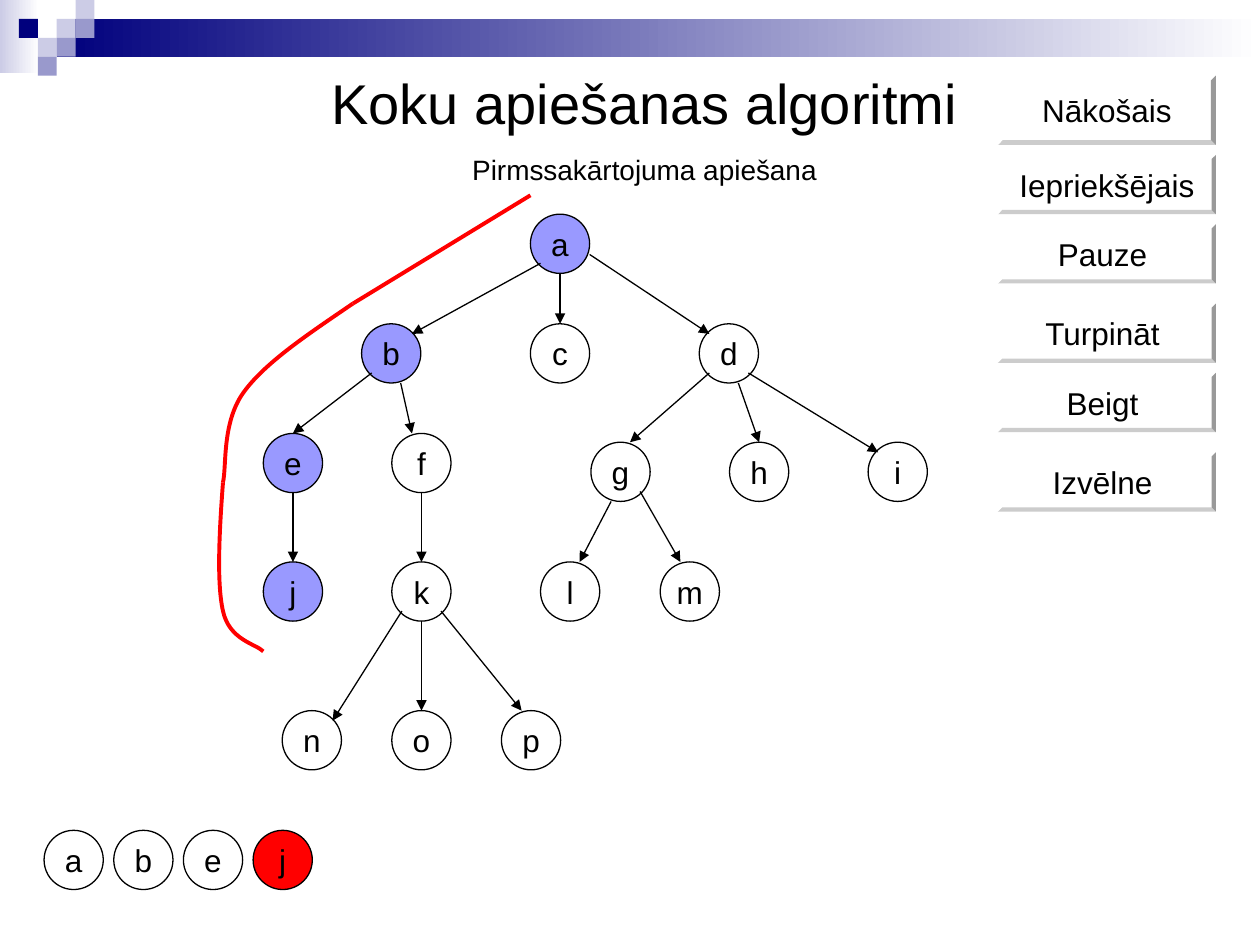
from dataclasses import dataclass

from lxml.etree import SubElement
from pptx import Presentation
from pptx.dml.color import RGBColor
from pptx.enum.shapes import MSO_CONNECTOR, MSO_SHAPE
from pptx.enum.text import MSO_ANCHOR, MSO_AUTO_SIZE, PP_ALIGN
from pptx.oxml.ns import qn
from pptx.util import Inches, Pt


@dataclass(frozen=True)
class Theme:
    font: str = "Arial"
    black: RGBColor = RGBColor(0, 0, 0)
    white: RGBColor = RGBColor(255, 255, 255)
    visited: RGBColor = RGBColor(0x99, 0x99, 0xFF)
    current: RGBColor = RGBColor(255, 0, 0)
    navy: RGBColor = RGBColor(0, 0, 0x7D)
    mid: RGBColor = RGBColor(0x99, 0x99, 0xCC)
    pale: RGBColor = RGBColor(0xCC, 0xCC, 0xE6)
    title: Pt = Pt(32)
    subtitle: Pt = Pt(16)
    label: Pt = Pt(18)
    thin: Pt = Pt(0.75)
    thick: Pt = Pt(2.25)


THEME = Theme()
NODE = 0.47
NODES = {
    "a": (2.49, 0), "b": (1.15, 0.87), "c": (2.49, 0.87), "d": (3.83, 0.87),
    "e": (0.37, 1.74), "f": (1.39, 1.74),
    "g": (2.97, 1.81), "h": (4.07, 1.81), "i": (5.17, 1.81),
    "j": (0.37, 2.76), "k": (1.39, 2.76), "l": (2.57, 2.76), "m": (3.52, 2.76),
    "n": (0.52, 3.94), "o": (1.39, 3.94), "p": (2.26, 3.94),
}
VISITED = "abej"
# Where an arrow touches a node, measured from the node's top left corner
ANCHORS = {
    "top": (0.235, 0), "top left": (0.16, 0), "top right": (0.31, 0),
    "bottom": (0.235, NODE), "bottom left": (0.16, NODE), "bottom right": (0.31, NODE),
    "upper left": (0.08, 0.08), "upper right": (0.4, 0.08),
    "lower left": (0.08, 0.39), "lower right": (0.39, 0.39), "right": (NODE, 0.32),
}
EDGES = [
    ("a", "lower left", "b", "upper right"), ("a", "bottom", "c", "top"),
    ("a", "right", "d", "upper left"), ("b", "lower left", "e", "top"),
    ("b", "bottom right", "f", "top left"), ("d", "lower left", "g", "top right"),
    ("d", "bottom right", "h", "top"), ("d", "lower right", "i", "upper left"),
    ("e", "bottom", "j", "top"), ("f", "bottom", "k", "top"),
    ("g", "bottom left", "l", "top right"), ("g", "lower right", "m", "top left"),
    ("k", "lower left", "n", "upper right"), ("k", "bottom", "o", "top"),
    ("k", "lower right", "p", "top left"),
]
BUTTONS = [("Nākošais", 0, 0.55), ("Iepriekšējais", 0.63, NODE), ("Pauze ", 1.18, NODE),
           ("Turpināt ", 1.81, NODE), ("Beigt ", 2.36, NODE), ("Izvēlne ", 2.99, NODE)]


def write(para, text, size):
    span = para.add_run()
    span.text = text
    para.alignment = PP_ALIGN.CENTER
    for name, value in {"name": THEME.font, "size": size, "bold": False}.items():
        setattr(span.font, name, value)
    span.font.color.rgb = THEME.black


def add_box(page, kind, left, top, width, height, fill=None, line=None, text=None):
    box = page.shapes.add_shape(kind, Inches(left), Inches(top), Inches(width), Inches(height))
    box.shadow.inherit = False
    if fill is not None:
        box.fill.solid()
        box.fill.fore_color.rgb = fill
    if line is None:
        box.line.fill.background()
    else:
        box.line.color.rgb = line
        box.line.width = THEME.thin
    if text:
        box.text_frame.word_wrap = False
        box.text_frame.vertical_anchor = MSO_ANCHOR.MIDDLE
        write(box.text_frame.paragraphs[0], text, THEME.label)
    return box


def add_node(page, left, top, text, fill):
    add_box(page, MSO_SHAPE.OVAL, left, top, NODE, NODE, fill, THEME.black, text)


def add_line(page, start, end, color, width, arrow=False):
    line = page.shapes.add_connector(MSO_CONNECTOR.STRAIGHT, *map(Inches, (*start, *end)))
    line.line.color.rgb = color
    line.line.width = width
    if arrow:
        SubElement(line.line._get_or_add_ln(), qn("a:tailEnd"), type="triangle")
    SubElement(line._element.spPr, qn("a:effectLst"))


def add_curve(page, start, points):
    """Draw cubic segments; points holds two controls and an end for each."""
    builder = page.shapes.build_freeform(Inches(start[0]), Inches(start[1]))
    builder.add_line_segments([(Inches(x), Inches(y)) for x, y in points], close=False)
    curve = builder.convert_to_shape()
    curve.shadow.inherit = False
    curve.fill.background()
    curve.line.color.rgb = THEME.current
    curve.line.width = THEME.thick
    outline = curve._element.find(".//" + qn("a:path"))
    steps = outline.findall(qn("a:lnTo"))
    for first in range(0, len(steps), 3):
        cubic = SubElement(outline, qn("a:cubicBezTo"))
        for step in steps[first:first + 3]:
            cubic.append(step[0])
            outline.remove(step)


def add_header(page, left, top):
    cell = 0.15
    for x, y, width, height, color in [(0, 0, 0.31, 0.58, THEME.pale),
                                       (0.45, cell, 9.55, 0.3, THEME.navy)]:
        band = add_box(page, MSO_SHAPE.RECTANGLE, left + x, top + y, width, height)
        band.fill.gradient()
        band.fill.gradient_angle = 0
        for stop, shade, position in zip(band.fill.gradient_stops, (color, THEME.white), (0, 1)):
            stop.color.rgb = shade
            stop.position = position
    for column, row, color in [(3, 1, THEME.pale), (4, 0, THEME.pale), (4, 1, THEME.mid),
                               (2, 2, THEME.pale), (1, 1, THEME.navy), (3, 2, THEME.mid),
                               (2, 3, THEME.mid)]:
        add_box(page, MSO_SHAPE.RECTANGLE, left + column * cell, top + row * cell,
                cell, cell, color)


def add_title(page, left, top, width, height):
    title = page.shapes.title
    place = {"left": left, "top": top, "width": width, "height": height}
    for name, value in place.items():
        setattr(title, name, Inches(value))
    frame = title.text_frame
    layout = {"auto_size": MSO_AUTO_SIZE.NONE, "word_wrap": True,
              "vertical_anchor": MSO_ANCHOR.TOP}
    for name, value in layout.items():
        setattr(frame, name, value)
    write(frame.paragraphs[0], "Koku apiešanas algoritmi", THEME.title)
    subtitle = frame.add_paragraph()
    subtitle.space_before = Pt(10)
    write(subtitle, "Pirmssakārtojuma apiešana", THEME.subtitle)


def add_buttons(page, left, top, width):
    for text, offset, height in BUTTONS:
        button = add_box(page, MSO_SHAPE.BEVEL, left, top + offset, width, height,
                         THEME.white, text=text)
        button.adjustments[0] = 0.07


def add_tree(page, left, top):
    for name, (x, y) in NODES.items():
        add_node(page, left + x, top + y, name,
                 THEME.visited if name in VISITED else THEME.white)

    def touch(name, anchor):
        (x, y), (dx, dy) = NODES[name], ANCHORS[anchor]
        return left + x + dx, top + y + dy

    for parent, leave, child, arrive in EDGES:
        add_line(page, touch(parent, leave), touch(child, arrive),
                 THEME.black, THEME.thin, arrow=True)


def add_trail(page, left, top):
    """Draw the red walk around the visited nodes."""
    start, bend, side = (2.49, 0), (1.08, 0.86), (0.05, 2.28)
    upper = [(0.73, 1.1), (0.38, 1.33), (0.21, 1.57), (0.04, 1.81), (0.08, 2.16), side]
    lower = [(0.02, 2.68), (0, 3.08), (0.05, 3.3), (0.1, 3.53), (0.31, 3.56), (0.37, 3.62)]

    def shift(point):
        return left + point[0], top + point[1]

    add_line(page, shift(start), shift(bend), THEME.current, THEME.thick)
    for begin, points in [(bend, upper), (side, lower)]:
        add_curve(page, shift(begin), [shift(point) for point in points])


def add_visit_order(page, left, top):
    for index, name in enumerate(VISITED):
        fill = THEME.current if name == VISITED[-1] else THEME.white
        add_node(page, left + index * 0.553, top, name, fill)


def main():
    deck = Presentation()
    deck.slide_width, deck.slide_height = Inches(10), Inches(7.5)
    page = deck.slides.add_slide(deck.slide_layouts[5])
    add_header(page, 0, 0)
    add_title(page, 1.77, 0.49, 6.69, 1)
    add_buttons(page, 7.92, 0.6, 1.73)
    add_tree(page, 1.72, 1.7)
    add_trail(page, 1.72, 1.55)
    add_visit_order(page, 0.35, 6.59)
    deck.save("out.pptx")


if __name__ == "__main__":
    main()
